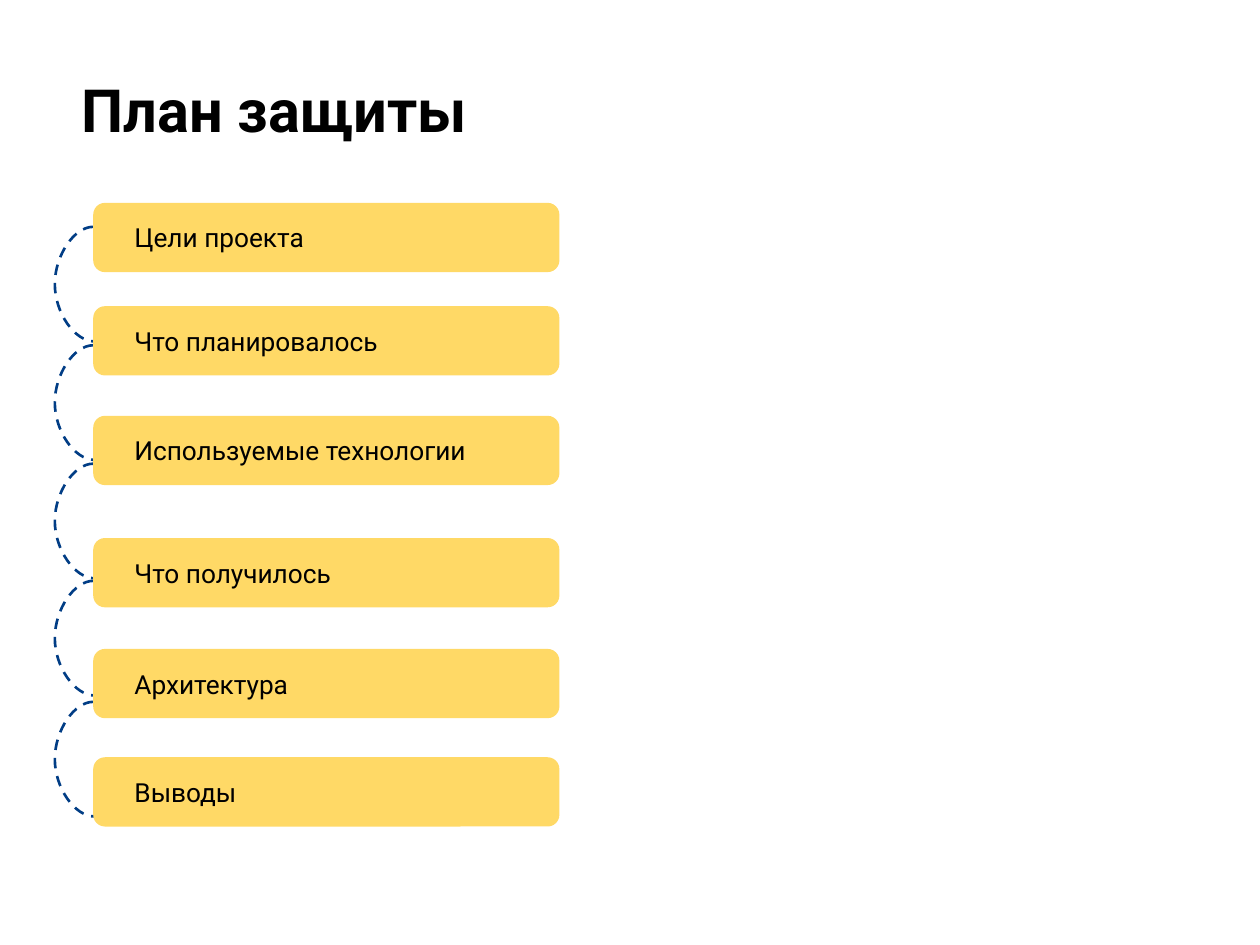
from lxml.etree import SubElement
from pptx import Presentation
from pptx.dml.color import RGBColor
from pptx.enum.dml import MSO_LINE
from pptx.enum.shapes import MSO_CONNECTOR, MSO_SHAPE
from pptx.enum.text import MSO_ANCHOR, PP_ALIGN
from pptx.oxml.ns import qn
from pptx.util import Inches, Pt

BLACK = RGBColor(0x00, 0x00, 0x00)
YELLOW = RGBColor(0xFF, 0xD9, 0x66)
BLUE = RGBColor(0x01, 0x3D, 0x85)

LEFT = 0.74
ARC_WIDTH, ARC_HEIGHT, ARC_BULGE = 0.01, 0.91, 0.31
ARC_TOPS = [1.8, 2.74, 3.68, 4.61, 5.57]
STEPS = [
    ("Цели проекта", 1.61),
    ("Что планировалось", 2.43),
    ("Используемые технологии", 3.3),
    ("Что получилось", 4.27),
    ("Архитектура", 5.15),
    ("Выводы", 6.01),
]


def set_text(sp, text, size, bold=False, anchor=MSO_ANCHOR.TOP, side=0.1):
    tf = sp.text_frame
    tf.word_wrap = True
    tf.vertical_anchor = anchor
    tf.margin_left = tf.margin_right = Inches(side)
    tf.margin_top = tf.margin_bottom = Inches(0.1)
    p = tf.paragraphs[0]
    p.alignment = PP_ALIGN.LEFT
    r = p.add_run()
    r.text = text
    r.font.name = "Roboto"
    r.font.size = Pt(size)
    r.font.bold = bold
    r.font.color.rgb = BLACK


prs = Presentation()
prs.slide_width, prs.slide_height = Inches(10), Inches(7.5)
s = prs.slides.add_slide(prs.slide_layouts[6])

title = s.shapes.add_textbox(Inches(0.55), Inches(0.48), Inches(9.32), Inches(0.91))
set_text(title, "План защиты", 34, bold=True)

for top in ARC_TOPS:
    arc = s.shapes.add_connector(
        MSO_CONNECTOR.CURVE, Inches(LEFT), Inches(top),
        Inches(LEFT + ARC_WIDTH), Inches(top + ARC_HEIGHT))
    arc.line.color.rgb = BLUE
    arc.line.width = Pt(1.5)
    arc.line.dash_style = MSO_LINE.DASH
    sppr = arc._element.spPr
    SubElement(sppr, qn("a:effectLst"))
    # The bend is given in 1/100000 of the connector width
    bend = round(-ARC_BULGE / ARC_WIDTH * 100000)
    guides = sppr.find(qn("a:prstGeom")).get_or_add_avLst()
    SubElement(guides, qn("a:gd"), name="adj1", fmla=f"val {bend}")

for text, top in STEPS:
    box = s.shapes.add_shape(
        MSO_SHAPE.ROUNDED_RECTANGLE, Inches(LEFT), Inches(top), Inches(3.7), Inches(0.55))
    box.adjustments[0] = 0.17
    box.shadow.inherit = False
    box.fill.solid()
    box.fill.fore_color.rgb = YELLOW
    box.line.fill.background()
    set_text(box, text, 15, anchor=MSO_ANCHOR.MIDDLE, side=0.3)

prs.save("out.pptx")
